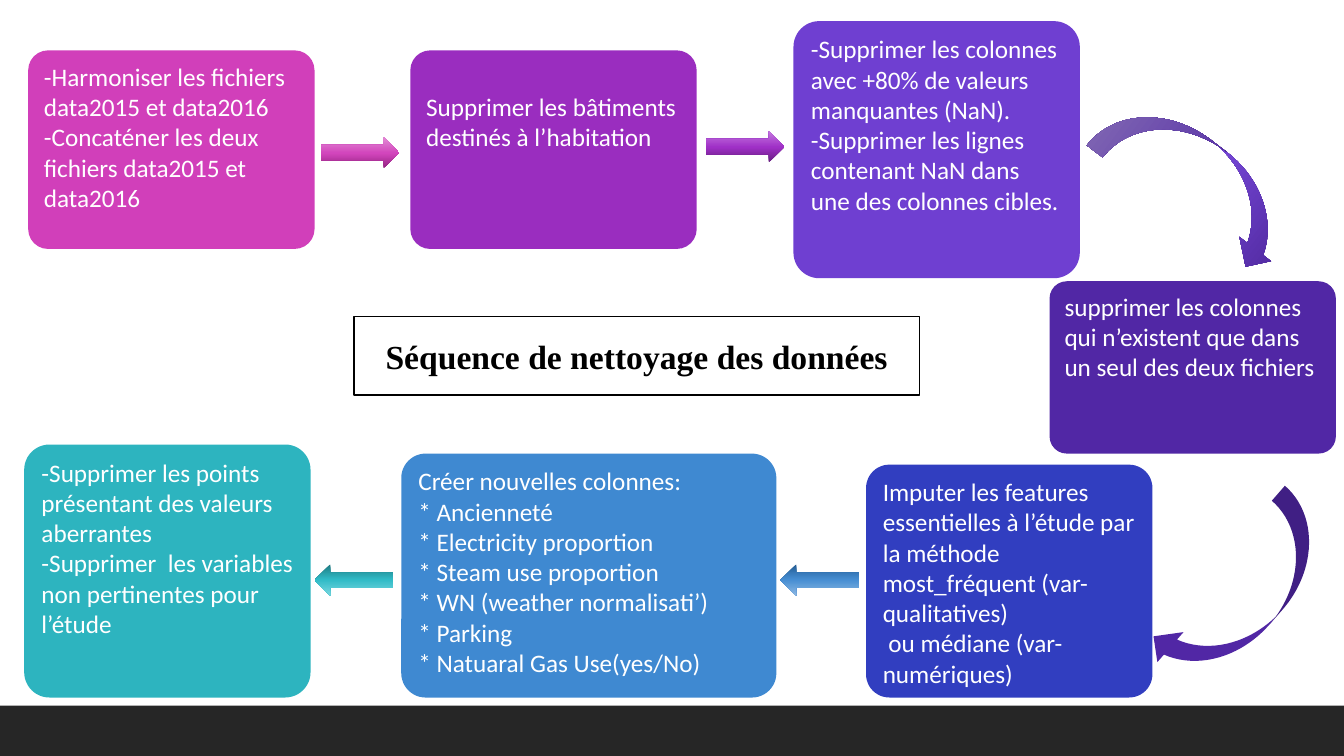
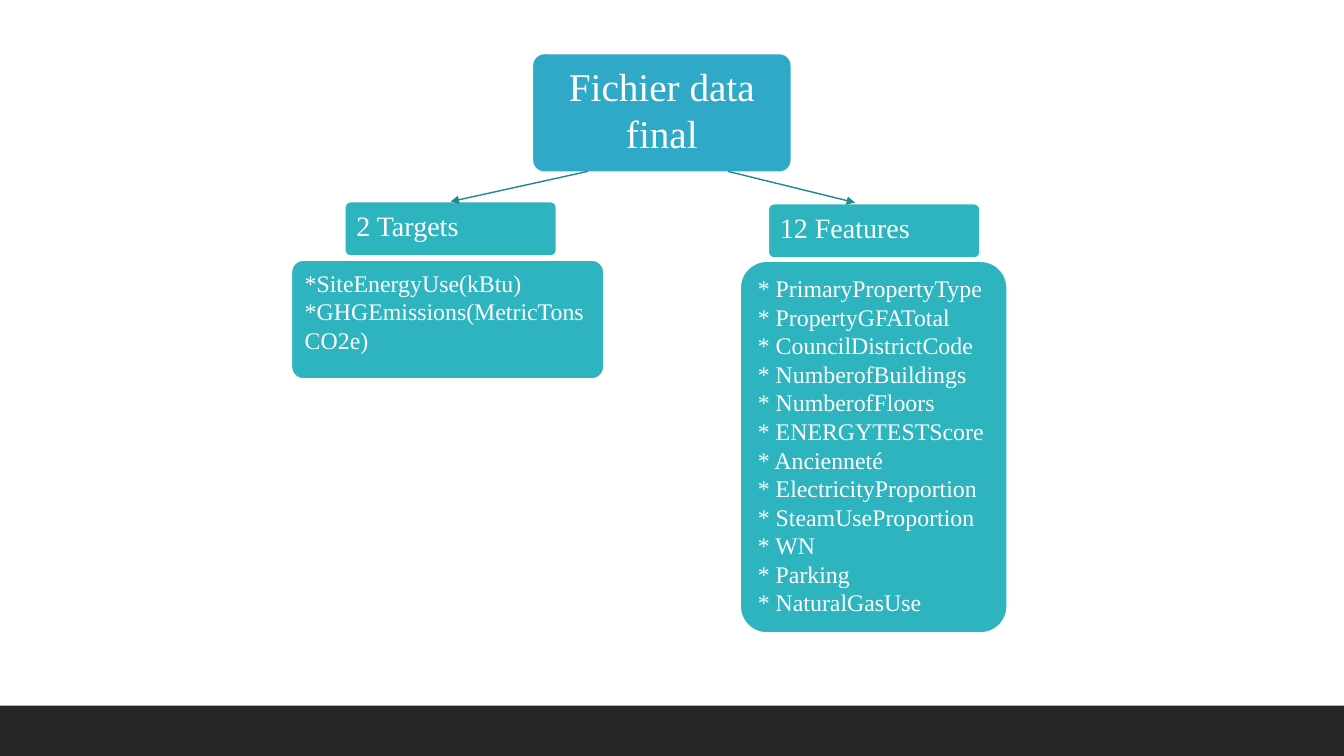
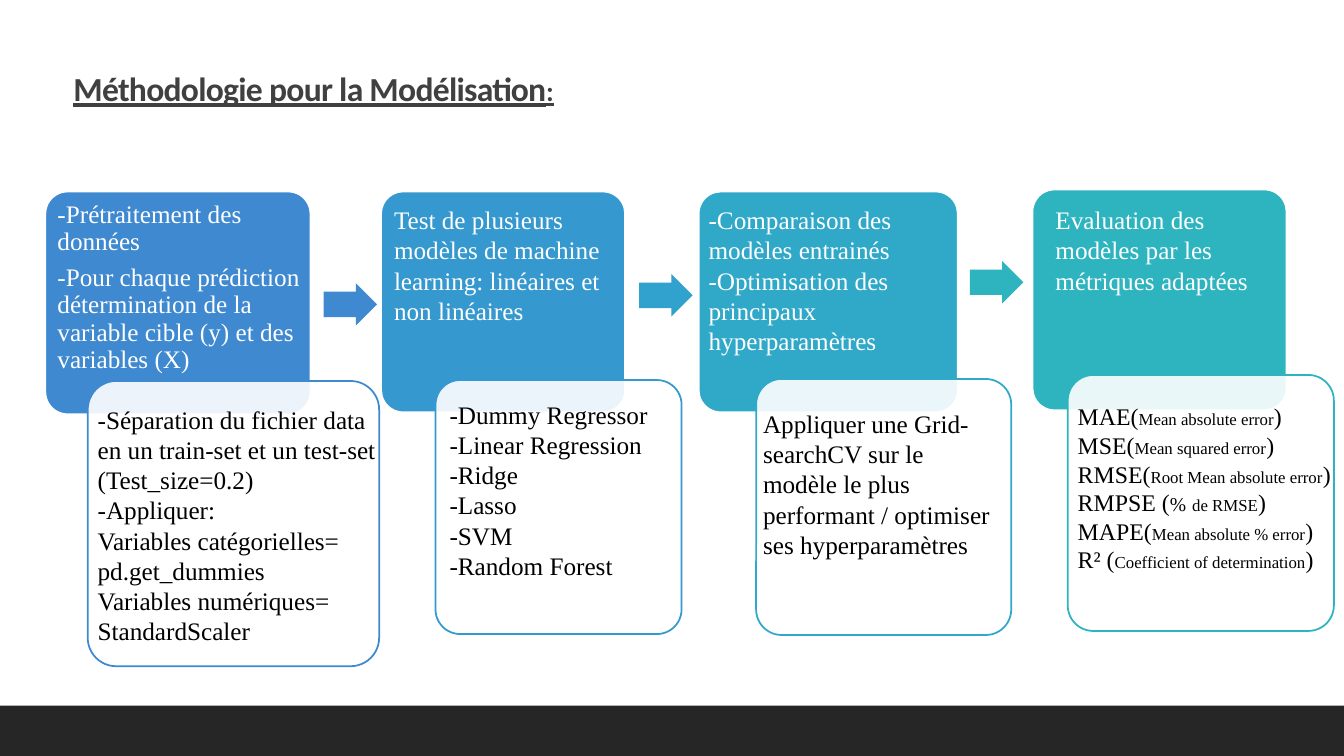
from copy import deepcopy
from dataclasses import dataclass

from lxml import etree
from pptx import Presentation
from pptx.dml.color import RGBColor
from pptx.enum.shapes import MSO_CONNECTOR, MSO_SHAPE
from pptx.enum.text import MSO_ANCHOR, PP_ALIGN
from pptx.oxml.ns import qn
from pptx.util import Inches, Pt

RECTANGLE = MSO_SHAPE.RECTANGLE
ROUNDED = MSO_SHAPE.ROUNDED_RECTANGLE
RIGHT_ARROW = MSO_SHAPE.RIGHT_ARROW
CURVED_ARROW = MSO_SHAPE.CURVED_LEFT_ARROW
STRAIGHT = MSO_CONNECTOR.STRAIGHT
TOP, MIDDLE = MSO_ANCHOR.TOP, MSO_ANCHOR.MIDDLE
LEFT, CENTER = PP_ALIGN.LEFT, PP_ALIGN.CENTER


@dataclass(frozen=True)
class Theme:
    sans: str = "Calibri"
    serif: str = "Times New Roman"
    white: str = "FFFFFF"
    black: str = "000000"
    band: str = "262626"
    heading: str = "404040"
    pink: str = "D13FBA"
    purple: str = "9A2DBF"
    violet: str = "6F3FD1"
    indigo: str = "5127A5"
    navy: str = "313EC0"
    blue: str = "3F89D1"
    azure: str = "3598CF"
    sky: str = "31A1CD"
    cyan: str = "30A8C8"
    teal: str = "2DB4BF"
    connector: str = "22878F"
    pink_shades: tuple = ("932381", "D245BC", "E38CD6")
    purple_shades: tuple = ("671E80", "9F2FC6", "C67AE0")
    violet_shades: tuple = ("482393", "7345D2", "A98CE3")
    teal_shades: tuple = ("1E7980", "2FBAC6", "7AD8E0")
    blue_shades: tuple = ("235C93", "458DD2", "8CB8E3")
    root_size: int = 28
    title_size: int = 24
    label_size: int = 20
    body_size: int = 18
    list_size: int = 17
    percent_size: int = 14
    note_size: int = 12
    outline: float = 1.25


theme = Theme()


def add_box(slide, at, fill, geometry=ROUNDED, line=None, rotation=0, adjustments=(), opacity=100):
    """Add a preset shape; fill is one colour, or three gradient shades from bottom to top."""
    shape = slide.shapes.add_shape(geometry, *map(Inches, at))
    shape.shadow.inherit = False
    shape.rotation = rotation
    if geometry == ROUNDED:
        adjustments = (0.1,)
    for index, value in enumerate(adjustments):
        shape.adjustments[index] = value
    if isinstance(fill, tuple):
        shape.fill.gradient()
        shape.fill.gradient_angle = 90
        stop_list = shape._element.spPr.find(".//" + qn("a:gsLst"))
        stop_list.insert(1, deepcopy(stop_list[0]))
        for stop, position, shade in zip(shape.fill.gradient_stops, (0, 0.48, 1), fill):
            stop.position = position
            stop.color.rgb = RGBColor.from_string(shade)
    else:
        shape.fill.solid()
        shape.fill.fore_color.rgb = RGBColor.from_string(fill)
    if opacity < 100:
        color = shape._element.spPr.find(qn("a:solidFill"))[0]
        etree.SubElement(color, qn("a:alpha"), val=str(opacity * 1000))
    if line:
        shape.line.color.rgb = RGBColor.from_string(line)
        shape.line.width = Pt(theme.outline)
    else:
        shape.line.fill.background()
    return shape


def write(shape, paragraphs, size=theme.body_size, color=theme.white, name=theme.serif,
          frame_format=None, paragraph_format=None, **font_format):
    """Fill a shape with paragraphs, each a string or a list of (text, size) runs."""
    frame = shape.text_frame
    frame_values = {"word_wrap": True, "vertical_anchor": TOP, **(frame_format or {})}
    for key, value in frame_values.items():
        setattr(frame, key, value)
    for index, content in enumerate(paragraphs):
        paragraph = frame.add_paragraph() if index else frame.paragraphs[0]
        for key, value in {"alignment": LEFT, **(paragraph_format or {})}.items():
            setattr(paragraph, key, value)
        runs = [(content, size)] if isinstance(content, str) else content
        for text, run_size in runs:
            run = paragraph.add_run()
            run.text = text
            run.font.color.rgb = RGBColor.from_string(color)
            for key, value in {"name": name, "size": Pt(run_size), **font_format}.items():
                setattr(run.font, key, value)


presentation = Presentation()
presentation.slide_width = Inches(13.33)
presentation.slide_height = Inches(7.5)
slides = [presentation.slides.add_slide(presentation.slide_layouts[6]) for _ in range(3)]
for slide in slides:
    add_box(slide, (0, 7, 13.33, 0.5), theme.band, RECTANGLE)
cleaning, final_file, modelling = slides

# Cleaning sequence
title = add_box(cleaning, (3.51, 3.14, 5.61, 0.78), theme.white, RECTANGLE, line=theme.black)
write(title, ["Séquence de nettoyage des données"], theme.title_size, theme.black, bold=True,
      frame_format={"vertical_anchor": MIDDLE}, paragraph_format={"alignment": CENTER})

steps = [
    ((0.28, 0.5, 2.84, 1.97), theme.pink, 0.05, [
        "-Harmoniser les fichiers data2015 et data2016",
        "-Concaténer les deux fichiers data2015 et data2016"]),
    ((4.07, 0.5, 2.84, 1.97), theme.purple, 0.35, [
        "Supprimer les bâtiments destinés à l’habitation"]),
    ((7.87, 0.21, 2.84, 2.55), theme.violet, 0.05, [
        "-Supprimer les colonnes avec +80% de valeurs manquantes (NaN).",
        "-Supprimer les lignes contenant NaN dans une des colonnes cibles."]),
    ((10.41, 2.79, 2.84, 1.71), theme.indigo, 0.05, [
        "supprimer les colonnes qui n’existent que dans un seul des deux fichiers"]),
    ((8.59, 4.61, 2.84, 2.31), theme.navy, 0.05, [
        "Imputer les features essentielles à l’étude par la méthode most_fréquent (var-qualitatives)",
        " ou médiane (var-numériques)"]),
    ((3.98, 4.5, 3.72, 2.42), theme.blue, 0.05, [
        "Créer nouvelles colonnes:", "* Ancienneté", "* Electricity proportion",
        "* Steam use proportion", "* WN (weather normalisati’)", "* Parking",
        "* Natuaral Gas Use(yes/No)"]),
    ((0.24, 4.41, 2.84, 2.51), theme.teal, 0.05, [
        "-Supprimer les points présentant des valeurs aberrantes",
        "-Supprimer  les variables non pertinentes pour l’étude"]),
]
for at, fill, top_margin, paragraphs in steps:
    write(add_box(cleaning, at, fill), paragraphs, name=theme.sans,
          frame_format={"margin_top": Inches(top_margin)})

for left, top, rotation, shades in [
    (3.18, 1.36, 0, theme.pink_shades),
    (7, 1.3, 0, theme.purple_shades),
    (7.74, 5.6, 180, theme.blue_shades),
    (3.12, 5.6, 180, theme.teal_shades),
]:
    add_box(cleaning, (left, top, 0.78, 0.31), shades, RIGHT_ARROW, rotation=rotation)

for left, top, rotation, fill in [
    (11.49, 0.7, 307.4, theme.violet_shades),
    (11.93, 4.81, 41.1, theme.indigo),
]:
    add_box(cleaning, (left, top, 0.79, 2.18), fill, CURVED_ARROW, rotation=rotation)

# Final data file
root = add_box(final_file, (5.28, 0.53, 2.57, 1.18), theme.cyan, line=theme.white)
write(root, ["Fichier data final"], theme.root_size, paragraph_format={"alignment": CENTER})

branches = [
    ("2 Targets", (3.42, 2, 2.1, 0.54), (2.89, 2.58, 3.1, 1.18), (5.83, 1.7, 4.47, 2), True,
     ["*SiteEnergyUse(kBtu)", "*GHGEmissions(MetricTonsCO2e)"]),
    ("12 Features", (7.62, 2.02, 2.1, 0.54), (7.34, 2.59, 2.65, 3.69), (7.22, 1.7, 8.48, 2.01), False,
     ["* PrimaryPropertyType", "* PropertyGFATotal", "* CouncilDistrictCode",
      "* NumberofBuildings", "* NumberofFloors", "* ENERGYTESTScore", "* Ancienneté",
      "* ElectricityProportion", "* SteamUseProportion", "* WN", "* Parking",
      "* NaturalGasUse"]),
]
for label, label_at, list_at, ends, ends_at_middle, columns in branches:
    label_box = add_box(final_file, label_at, theme.teal, line=theme.white)
    write(label_box, [label], theme.label_size)
    write(add_box(final_file, list_at, theme.teal, line=theme.white), columns, theme.list_size)
    connector = final_file.shapes.add_connector(STRAIGHT, *map(Inches, ends))
    if ends_at_middle:
        connector.end_connect(label_box, 0)
    connector.line.color.rgb = RGBColor.from_string(theme.connector)
    connector.line.width = Pt(1)
    etree.SubElement(connector.line._get_or_add_ln(), qn("a:tailEnd"), type="triangle")
    etree.SubElement(connector._element.spPr, qn("a:effectLst"))

# Modelling method
heading = modelling.shapes.add_textbox(*map(Inches, (0.63, 0.67, 10.97, 0.72)))
write(heading, [[("Méthodologie pour la Modélisation", theme.title_size), (":", theme.label_size)]],
      color=theme.heading, name=theme.sans, bold=True, underline=True,
      paragraph_format={"line_spacing": 0.9})
for run in heading.text_frame.paragraphs[0].runs:
    run.font._element.set("spc", "-50")

metrics = [
    [(start, theme.list_size), *notes, (")", theme.list_size)]
    for start, notes in [
        ("MAE(", [("Mean absolute error", theme.note_size)]),
        ("MSE(", [("Mean squared error", theme.note_size)]),
        ("RMSE(", [("Root Mean absolute error", theme.note_size)]),
        ("RMPSE (", [("%", theme.percent_size), (" ", theme.list_size), ("de RMSE", theme.note_size)]),
        ("MAPE(", [("Mean absolute % error", theme.note_size)]),
        ("R² (", [("Coefficient of determination", theme.note_size)]),
    ]
]
preparation_format = {
    "frame_format": {"margin_left": Inches(0.14), "margin_top": Inches(0.14),
                     "margin_right": Inches(0.14), "margin_bottom": Inches(0.07)},
    "paragraph_format": {"line_spacing": 0.9, "space_after": Pt(6.3)},
}
stages = [
    (theme.blue, (0.45, 1.9, 2.63, 2.21), (0.43, 1.86, 2.82, 1.88), preparation_format,
     ["-Prétraitement des données",
      "-Pour chaque prédiction détermination de la variable cible (y) et des variables (X)"],
     (0.87, 3.78, 2.89, 2.83), (0.87, 3.96, 3.02, 2.83),
     ["-Séparation du fichier data en un train-set et un test-set", "(Test_size=0.2)",
      "-Appliquer:", "Variables catégorielles= pd.get_dummies",
      "Variables numériques= StandardScaler"]),
    (theme.azure, (3.78, 1.9, 2.42, 2.19), (3.81, 1.98, 2.66, 1.31), {},
     ["Test de plusieurs modèles de machine learning: linéaires et non linéaires"],
     (4.32, 3.77, 2.44, 2.52), (4.36, 3.91, 2.42, 1.92),
     ["-Dummy Regressor", "-Linear Regression", "-Ridge", "-Lasso", "-SVM", "-Random Forest"]),
    (theme.cyan, (6.93, 1.9, 2.57, 2.19), (6.93, 1.98, 2.57, 1.92), {},
     ["-Comparaison des modèles entrainés", "-Optimisation des principaux hyperparamètres"],
     (7.5, 3.76, 2.53, 2.54), (7.47, 4, 2.57, 1.92),
     ["Appliquer une Grid-searchCV sur le modèle le plus performant / optimiser ses hyperparamètres"]),
    (theme.teal, (10.24, 1.88, 2.52, 2.19), (10.37, 1.98, 2.52, 1.01), {},
     ["Evaluation des modèles par les métriques adaptées"],
     (10.59, 3.72, 2.64, 2.54), (10.59, 3.94, 2.72, 2.41), metrics),
]
for color, stage_at, summary_at, summary_format, summary, card_at, detail_at, details in stages:
    add_box(modelling, stage_at, color, line=theme.white)
    summary_box = modelling.shapes.add_textbox(*map(Inches, summary_at))
    write(summary_box, summary, **summary_format)
    add_box(modelling, card_at, theme.white, line=color, opacity=90)
    detail_box = modelling.shapes.add_textbox(*map(Inches, detail_at))
    write(detail_box, details, color=theme.black)

for left, top, color in [(3.21, 2.81, theme.blue), (6.34, 2.72, theme.sky), (9.62, 2.59, theme.teal)]:
    add_box(modelling, (left, top, 0.53, 0.42), color, RIGHT_ARROW, adjustments=(0.6, 0.5))

presentation.save("out.pptx")
